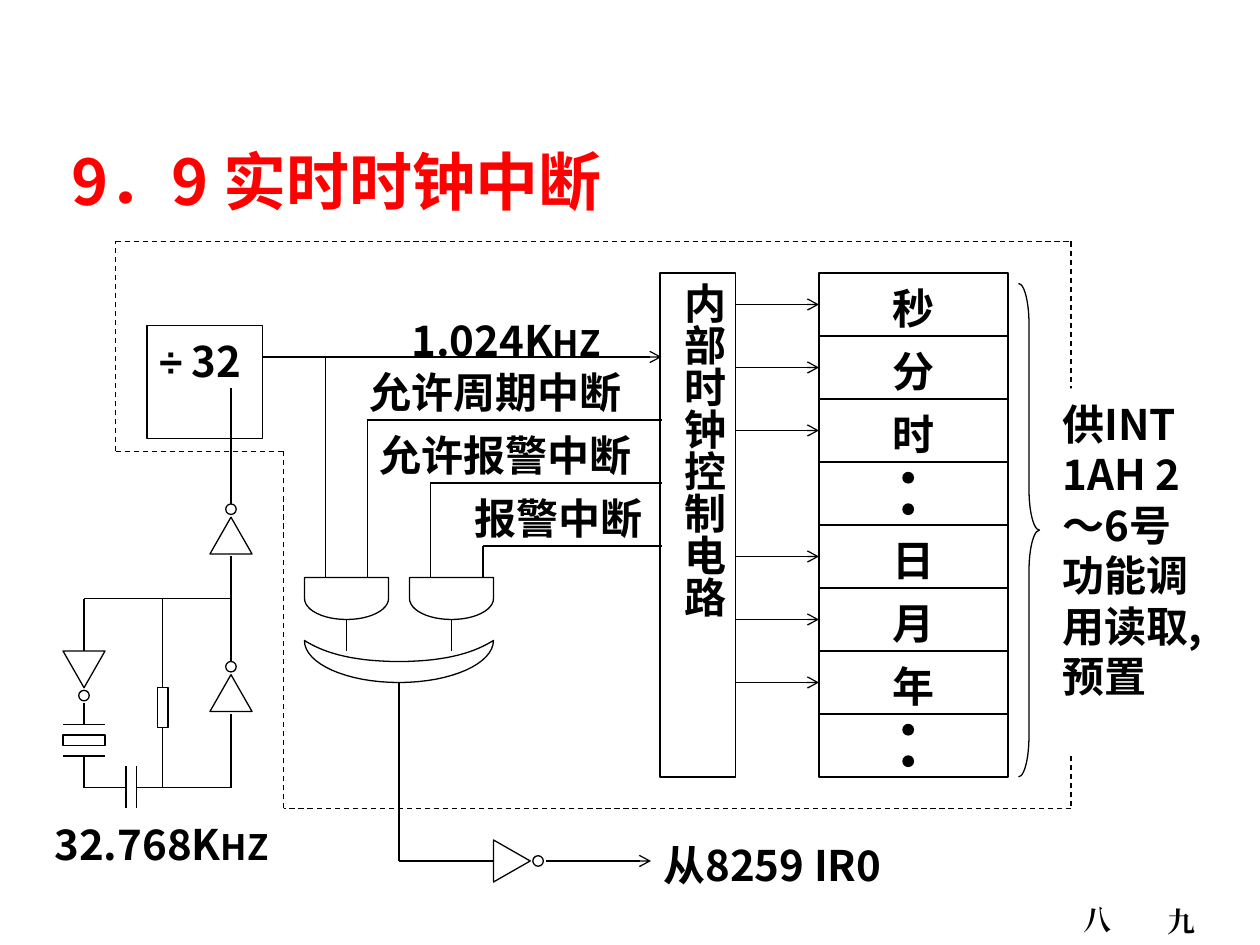
import math

import pptx
import pptx.dml.color
import pptx.enum.dml
import pptx.enum.shapes
import pptx.enum.text
import pptx.oxml
import pptx.oxml.ns
import pptx.util

COLORS = {"ink": "000000", "paper": "FFFFFF", "title": "FF0000"}
FONT = "Noto Sans CJK SC"
SHAPES = pptx.enum.shapes.MSO_SHAPE
ALIGN = pptx.enum.text.PP_ALIGN


def grid(units):
    """Length on the drawing grid of twelve units to the inch."""
    return pptx.util.Cm(units * 2.54 / 12)


def color(name):
    return pptx.dml.color.RGBColor.from_string(COLORS[name])


def bezier(start, first, second, end, steps=16):
    """Points along a cubic curve."""
    points = []
    for step in range(steps + 1):
        t = step / steps
        weights = ((1 - t) ** 3, 3 * t * (1 - t) ** 2, 3 * t * t * (1 - t), t ** 3)
        points.append(tuple(
            sum(w * p[axis] for w, p in zip(weights, (start, first, second, end)))
            for axis in (0, 1)))
    return points


class Diagram:
    """Draws on one slide; all places are in grid units."""

    line_width = 0.75

    def __init__(self, slide):
        self.slide = slide
        self.shapes = slide.shapes

    def pen(self, item):
        item.line.color.rgb = color("ink")
        item.line.width = pptx.util.Pt(self.line_width)

    def shape(self, kind, left, top, width, height, fill=None, outline=True, rotation=0):
        item = self.shapes.add_shape(kind, *map(grid, (left, top, width, height)))
        self.finish(item, fill, outline)
        item.rotation = rotation
        return item

    def finish(self, item, fill=None, outline=True):
        item.shadow.inherit = False
        if fill:
            item.fill.solid()
            item.fill.fore_color.rgb = color(fill)
        else:
            item.fill.background()
        if outline:
            self.pen(item)
        else:
            item.line.fill.background()

    def outline(self, points):
        (x, y), *others = [tuple(map(grid, point)) for point in points]
        builder = self.shapes.build_freeform(x, y, scale=1.0)
        builder.add_line_segments(others, close=True)
        self.finish(builder.convert_to_shape(), "paper")

    def wire(self, *points, arrow=False, dashed=False):
        for start, end in zip(points, points[1:]):
            line = self.shapes.add_connector(
                pptx.enum.shapes.MSO_CONNECTOR.STRAIGHT, *map(grid, start + end))
            self.pen(line)
            if dashed:
                line.line.dash_style = pptx.enum.dml.MSO_LINE.DASH
            if arrow:
                tail = pptx.oxml.parse_xml(
                    f'<a:tailEnd {pptx.oxml.ns.nsdecls("a")} type="arrow"/>')
                line._element.spPr.find(pptx.oxml.ns.qn("a:ln")).append(tail)
            line._element.spPr.append(
                pptx.oxml.parse_xml(f'<a:effectLst {pptx.oxml.ns.nsdecls("a")}/>'))

    def set_text(self, item, *runs, align=ALIGN.LEFT, vertical=False):
        """Each run is text, size, and optionally colour and font."""
        frame = item.text_frame
        frame_format = {
            "word_wrap": True,
            "vertical_anchor": pptx.enum.text.MSO_ANCHOR.TOP,
            "margin_left": pptx.util.Cm(0.13 if vertical else 0.25),
            "margin_right": pptx.util.Cm(0.13 if vertical else 0.25),
            "margin_top": pptx.util.Cm(0.2),
            "margin_bottom": pptx.util.Cm(0.13),
        }
        for name, value in frame_format.items():
            setattr(frame, name, value)
        if vertical:
            frame._txBody.bodyPr.set("vert", "eaVert")
        para = frame.paragraphs[0]
        para.alignment = align
        para.line_spacing = pptx.util.Pt(1.2 * max(run[1] for run in runs))
        for text, size, *style in runs:
            ink, font = style + ["ink", FONT][len(style):]
            span = para.add_run()
            span.text = text
            span_format = {"name": font, "size": pptx.util.Pt(size), "bold": True}
            for name, value in span_format.items():
                setattr(span.font, name, value)
            span.font.color.rgb = color(ink)
            east = pptx.oxml.parse_xml(
                f'<a:ea {pptx.oxml.ns.nsdecls("a")} typeface="{font}"/>')
            span.font._element.find(pptx.oxml.ns.qn("a:latin")).addnext(east)

    def label(self, left, top, width, height, *runs):
        self.set_text(self.shapes.add_textbox(*map(grid, (left, top, width, height))), *runs)

    def dot(self, x, y, fill):
        self.shape(SHAPES.OVAL, x - 0.5, y - 0.5, 1, 1, fill)

    def inverter(self, x, y, rotation=0):
        self.shape(SHAPES.ISOSCELES_TRIANGLE, x - 2, y - 1.75, 4, 3.5, "paper",
                   rotation=rotation)
        angle = math.radians(rotation)
        self.dot(x + 2.5 * math.sin(angle), y - 2.5 * math.cos(angle), "paper")


def main():
    deck = pptx.Presentation()
    deck.slide_width, deck.slide_height = pptx.util.Cm(25.4), pptx.util.Cm(19.05)
    page = Diagram(deck.slides.add_slide(deck.slide_layouts[6]))

    # Title
    page.label(4.6, 12.6, 60, 8.4, (" ", 28), ("9．9 实时时钟中断", 36, "title"))

    # Clock registers, with dots for the rows left out
    for row, name in enumerate(("秒", "分", "时", "", "日", "月", "年", "")):
        top = 26 + 6 * row
        box = page.shape(SHAPES.RECTANGLE, 78, top, 18, 6)
        if name:
            page.set_text(box, (name, 24), align=ALIGN.CENTER)
            page.wire((70, top + 3), (78, top + 3), arrow=True)
        else:
            for offset in (1.5, 4.5):
                page.dot(86.5, top + offset, "ink")

    # Control circuit and its signals
    control = page.shape(SHAPES.RECTANGLE, 62.85, 26, 7.2, 48)
    page.set_text(control, ("内部时钟控制电路", 24), align=ALIGN.CENTER, vertical=True)
    page.label(38, 29, 32, 6, ("1.024K", 24), ("HZ", 20))
    for left, top, name in ((34, 34, "允许周期中断"), (35, 40, "允许报警中断"),
                            (44, 46, "报警中断")):
        page.label(left, top, 28, 6, (name, 24))
    page.wire((25, 34), (63, 34), arrow=True)
    page.wire((31, 34), (31, 55))
    for x, y in ((35, 40), (41, 46), (46, 52)):
        page.wire((63, y), (x, y), (x, 55))

    # Two AND gates feeding an OR gate
    for x in (33, 43):
        page.shape(SHAPES.FLOWCHART_DELAY, x - 2, 53, 4, 8, "paper", rotation=90)
        page.wire((x, 59), (x, 62))
    upper = bezier((29, 61), (30.6, 62), (33.2, 63), (38, 63))
    lower = bezier((38, 65), (33, 65), (29, 63.2), (29, 61))
    right_upper = [(76 - x, y) for x, y in reversed(upper)]
    right_lower = [(76 - x, y) for x, y in reversed(lower)]
    page.outline(upper + right_upper[1:] + right_lower[1:] + lower[1:-1])

    # Divider
    divider = page.shape(SHAPES.RECTANGLE, 14, 31, 11, 10.8)
    page.set_text(divider, ("÷", 24, "ink", "Arial"), (" 32", 24))

    # Dashed chip border
    page.wire((11, 23), (102, 23), (102, 77), (27, 77), (27, 43), (11, 43), (11, 23),
              dashed=True)

    # Brace and its note
    brace = page.shape(SHAPES.RIGHT_BRACE, 97, 27, 2, 47)
    brace.adjustments[0] = 1.96
    note = page.shape(SHAPES.RECTANGLE, 100, 37, 16, 34.8, "paper", outline=False)
    page.set_text(note, ("供INT 1AH 2～6号功能调用读取,预置", 24))

    # Crystal oscillator
    page.inverter(22, 66)
    page.inverter(22, 51)
    page.inverter(8, 63.75, 180)
    page.shape(SHAPES.RECTANGLE, 6, 70, 4, 1, "paper")
    page.shape(SHAPES.RECTANGLE, 15, 65.5, 1, 3.8, "paper")
    for y in (69, 72):
        page.wire((6, y), (10, y))
    for x in (12, 13):
        page.wire((x, 73), (x, 77))
    page.wire((8, 67), (8, 69))
    page.wire((8, 72), (8, 75), (12, 75))
    page.wire((8, 62), (8, 57), (22, 57))
    page.wire((15.5, 57), (15.5, 65.5))
    page.wire((15.5, 69.3), (15.5, 75))
    page.wire((13, 75), (22, 75), (22, 68))
    page.wire((22, 53), (22, 63))
    page.wire((22, 37), (22, 48))
    page.label(4, 77, 31, 6, ("32.768K", 24), ("HZ", 20))

    # Interrupt output
    page.inverter(48.75, 82, 90)
    page.wire((38, 65), (38, 82), (47, 82))
    page.wire((52, 82), (62, 82), arrow=True)
    page.label(62, 79, 40, 6, ("从8259 IR0", 24))

    # Page marks
    for left, top, mark in ((102, 85, "八"), (110, 85.2, "九")):
        page.label(left, top, 5.6, 4.4, (mark, 16, "ink", "Times New Roman"))

    deck.save("out.pptx")


if __name__ == "__main__":
    main()
